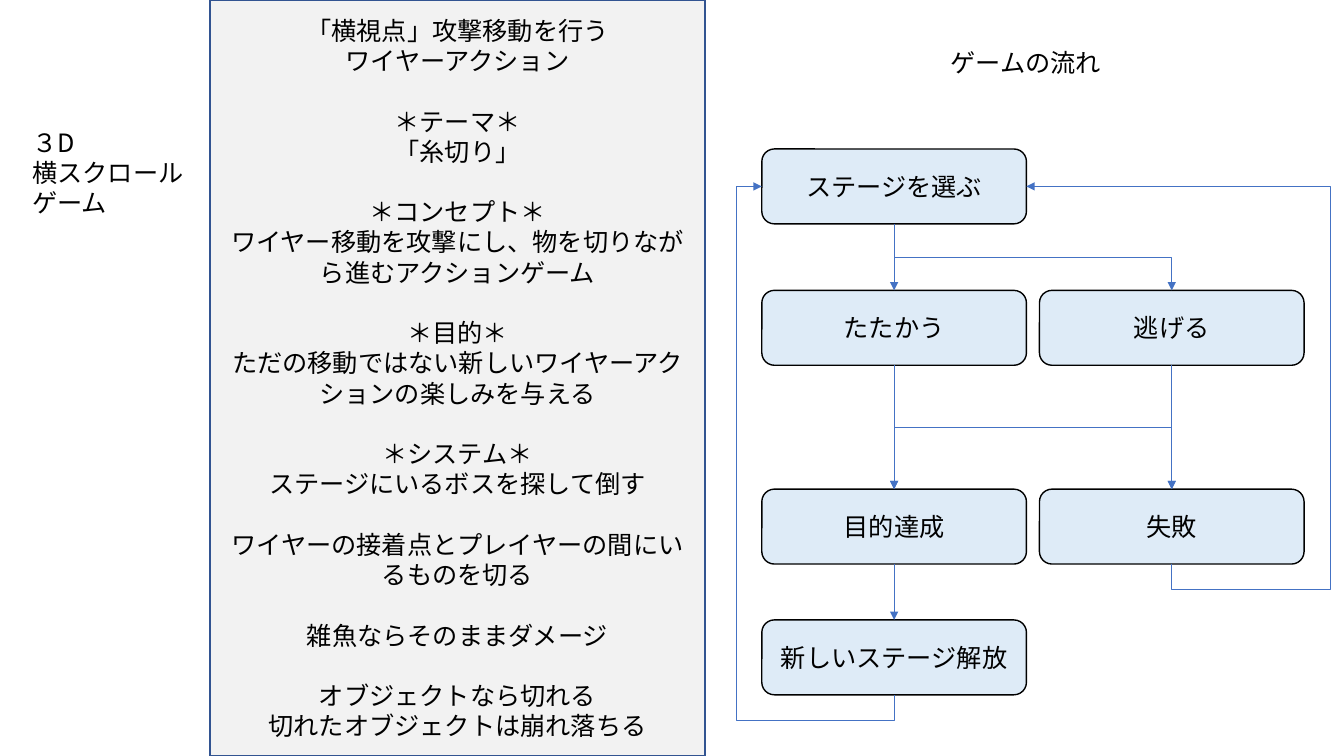
from lxml import etree
from pptx import Presentation
from pptx import util as u
from pptx.dml.color import RGBColor
from pptx.enum import lang, shapes, text
from pptx.oxml.ns import qn

FONT = "Noto Sans CJK JP"
BLACK = RGBColor(0x00, 0x00, 0x00)
PANEL_FILL = RGBColor(0xF2, 0xF2, 0xF2)
PANEL_LINE = RGBColor(0x32, 0x54, 0x91)
STEP_FILL = RGBColor(0xDE, 0xEB, 0xF7)
ARROW = RGBColor(0x44, 0x72, 0xC4)

TOP, LEFT, BOTTOM, RIGHT = range(4)  # connection sites of a box
STEP_W, STEP_H = 189, 53.5
COL_1, COL_2 = 544.2, 742.5
ROWS = (106.4, 207.4, 349.4, 442.8)
LOOP_GAP = 18
LINE_HEIGHT = 21.6

SUMMARY = (
    ("「横視点」攻撃移動を行う", "ワイヤーアクション"),
    ("＊テーマ＊", "「糸切り」"),
    ("＊コンセプト＊", "ワイヤー移動を攻撃にし、物を切りながら進むアクションゲーム"),
    ("＊目的＊", "ただの移動ではない新しいワイヤーアクションの楽しみを与える"),
    ("＊システム＊", "ステージにいるボスを探して倒す"),
    ("ワイヤーの接着点とプレイヤーの間にいるものを切る",),
    ("雑魚ならそのままダメージ",),
    ("オブジェクトなら切れる", "切れたオブジェクトは崩れ落ちる"),
)


def write(tf, groups, size=18, color=BLACK, align=text.PP_ALIGN.CENTER,
          gap=LINE_HEIGHT):
    """Write groups of paragraphs, with a gap before every group but the first."""
    p = None
    for group in groups:
        for i, line in enumerate(group):
            new_group = p is not None and i == 0
            p = tf.paragraphs[0] if p is None else tf.add_paragraph()
            p.alignment = align
            if new_group:
                p.space_before = u.Pt(gap)
            r = p.add_run()
            r.text = line
            r.font.size = u.Pt(size)
            r.font.name = FONT
            r.font.color.rgb = color
            r.font.language_id = lang.MSO_LANGUAGE_ID.JAPANESE
            ea = etree.SubElement(r.font._element, qn("a:ea"))
            ea.set("typeface", FONT)


def add_label(s, lines, x, y, w, h):
    """Add an unwrapped, left-aligned text box."""
    tf = s.shapes.add_textbox(u.Pt(x), u.Pt(y), u.Pt(w), u.Pt(h)).text_frame
    tf.word_wrap = False
    tf.auto_size = text.MSO_AUTO_SIZE.SHAPE_TO_FIT_TEXT
    write(tf, [lines], align=text.PP_ALIGN.LEFT)


def add_box(s, kind, groups, x, y, w, h, fill, line):
    """Add a filled, outlined shape with centred text."""
    sp = s.shapes.add_shape(kind, u.Pt(x), u.Pt(y), u.Pt(w), u.Pt(h))
    sp.shadow.inherit = False
    sp.fill.solid()
    sp.fill.fore_color.rgb = fill
    sp.line.color.rgb = line
    sp.line.width = u.Pt(1)
    sp.text_frame.word_wrap = True
    sp.text_frame.vertical_anchor = text.MSO_ANCHOR.MIDDLE
    write(sp.text_frame, groups)
    return sp


def add_step(s, label, x, y):
    """Add one rounded step of the game flow."""
    return add_box(s, shapes.MSO_SHAPE.ROUNDED_RECTANGLE, [[label]],
                   x, y, STEP_W, STEP_H, STEP_FILL, BLACK)


def add_arrow(s, start, end, end_site=TOP, kind=shapes.MSO_CONNECTOR.STRAIGHT):
    """Connect the bottom of one step to a site of another with an arrow."""
    cx = s.shapes.add_connector(kind, 0, 0, 0, 0)
    cx.begin_connect(start, BOTTOM)
    cx.end_connect(end, end_site)
    cx.line.color.rgb = ARROW
    cx.line.width = u.Pt(0.5)
    tail = etree.SubElement(cx.line._get_or_add_ln(), qn("a:tailEnd"))
    tail.set("type", "triangle")
    etree.SubElement(cx._element.spPr, qn("a:effectLst"))
    return cx


def add_bent(s, start, end, end_site=TOP, lane=None):
    """Add an elbow arrow that leaves downwards; a lane x makes it loop back up."""
    cx = add_arrow(s, start, end, end_site, shapes.MSO_CONNECTOR.ELBOW)
    x1, y1, x2, y2 = cx.begin_x, cx.begin_y, cx.end_x, cx.end_y
    w, h = abs(y2 - y1), abs(x2 - x1)
    to_right = x2 > x1
    xfrm = cx._element.spPr.find(qn("a:xfrm"))
    for flip in ("flipH", "flipV"):
        xfrm.attrib.pop(flip, None)
    xfrm.set("rot", str((270 if to_right else 90) * 60000))
    if to_right or lane is not None:
        xfrm.set("flipH", "1")
    cx.left, cx.top = (x1 + x2 - w) // 2, (y1 + y2 - h) // 2
    cx.width, cx.height = w, h
    if lane is not None:
        geom = cx._element.spPr.find(qn("a:prstGeom"))
        geom.set("prst", "bentConnector4")
        guides = geom.find(qn("a:avLst"))
        if guides is None:
            guides = etree.SubElement(geom, qn("a:avLst"))
        ratios = (-u.Pt(LOOP_GAP) / w, (x1 - u.Pt(lane)) / h)
        for i, ratio in enumerate(ratios, 1):
            gd = etree.SubElement(guides, qn("a:gd"))
            gd.set("name", f"adj{i}")
            gd.set("fmla", f"val {round(ratio * 100000)}")


def add_flow(s):
    """Add the steps of the game and the arrows between them."""
    choose = add_step(s, "ステージを選ぶ", COL_1, ROWS[0])
    fight = add_step(s, "たたかう", COL_1, ROWS[1])
    flee = add_step(s, "逃げる", COL_2, ROWS[1])
    goal = add_step(s, "目的達成", COL_1, ROWS[2])
    fail = add_step(s, "失敗", COL_2, ROWS[2])
    unlock = add_step(s, "新しいステージ解放", COL_1, ROWS[3])

    for start, end in ((choose, fight), (fight, goal), (flee, fail), (goal, unlock)):
        add_arrow(s, start, end)
    for start, end in ((choose, flee), (fight, fail), (flee, goal)):
        add_bent(s, start, end)
    add_bent(s, fail, choose, RIGHT, lane=COL_2 + STEP_W + LOOP_GAP + 1)
    add_bent(s, unlock, choose, LEFT, lane=COL_1 - LOOP_GAP)


def main():
    """Build the game concept slide."""
    prs = Presentation()
    prs.slide_width, prs.slide_height = u.Pt(960), u.Pt(540)
    s = prs.slides.add_slide(prs.slide_layouts[6])
    add_label(s, ("３D", "横スクロール", "ゲーム"), 16, 87.2, 124, 72.7)
    add_box(s, shapes.MSO_SHAPE.RECTANGLE, SUMMARY,
            150, 0, 353.5, 540, PANEL_FILL, PANEL_LINE)
    add_flow(s)
    add_label(s, ("ゲームの流れ",), 672, 30.2, 124, 29)
    prs.save("out.pptx")


main()
